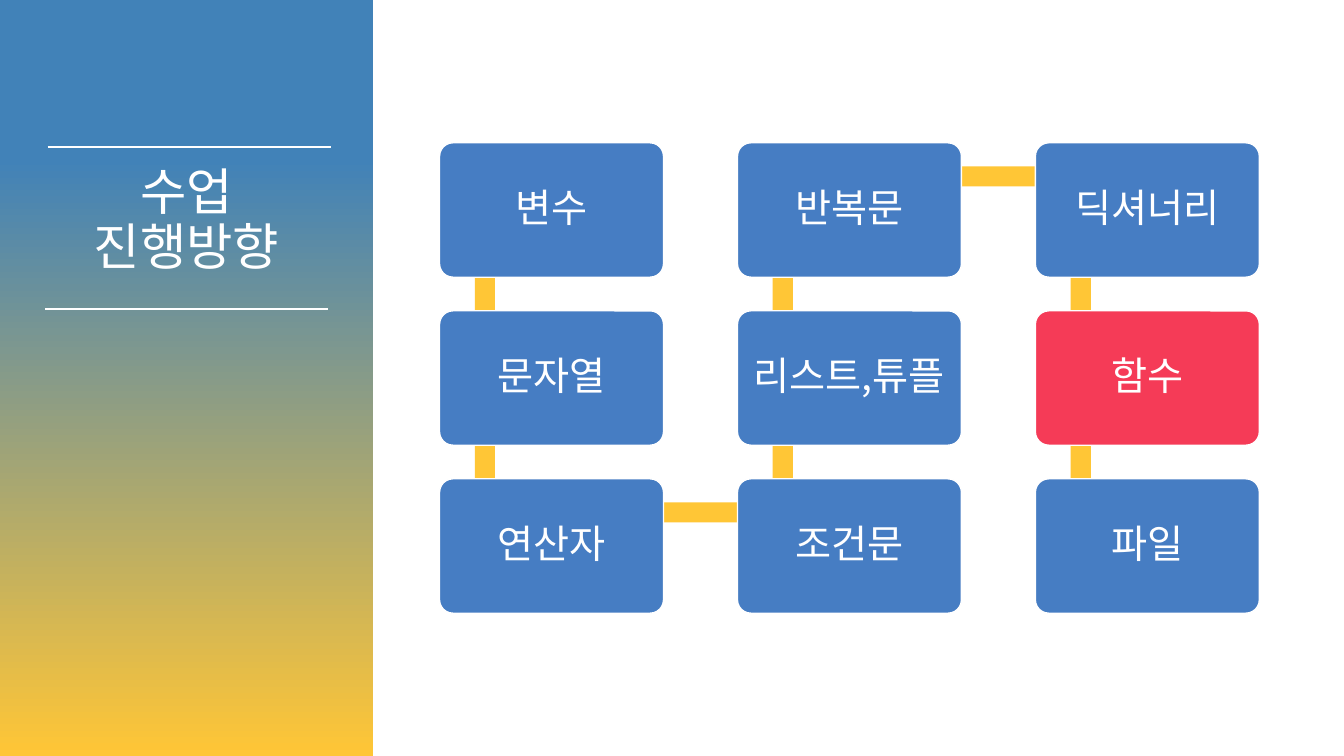
"""Build a slide showing the course topics as a snaking path of boxes."""
from dataclasses import dataclass

from lxml import etree
from pptx import Presentation
from pptx.dml.color import RGBColor
from pptx.enum.shapes import MSO_CONNECTOR, MSO_SHAPE
from pptx.enum.text import MSO_ANCHOR, PP_ALIGN
from pptx.oxml.ns import qn
from pptx.shapes.autoshape import Shape
from pptx.slide import Slide
from pptx.text.text import TextFrame
from pptx.util import Pt

RECTANGLE = MSO_SHAPE.RECTANGLE
ROUNDED = MSO_SHAPE.ROUNDED_RECTANGLE
STRAIGHT = MSO_CONNECTOR.STRAIGHT
MIDDLE = MSO_ANCHOR.MIDDLE
CENTER = PP_ALIGN.CENTER

COLORS = {"white": "FFFFFF", "panel": "4182B8", "gold": "FFC636",
          "topic": "467DC3", "current": "F53B57"}
FONT = "Noto Sans CJK KR"
GRID_LEFT, GRID_TOP = 314, 102
COLUMN_STEP, ROW_STEP = 212.8, 120
BOX_WIDTH, BOX_HEIGHT = 160, 96
LINK_X, LINK_Y, LINK_THICKNESS = 32.4, 24, 14.4
BOX_MARGIN = 8.64


@dataclass(frozen=True)
class Topic:
    name: str
    column: int
    row: int
    color: str = "topic"

    @property
    def left(self) -> float:
        return GRID_LEFT + self.column * COLUMN_STEP

    @property
    def top(self) -> float:
        return GRID_TOP + self.row * ROW_STEP


@dataclass(frozen=True)
class Rule:
    left: float
    top: float
    width: float = 202.3


TOPICS = [
    Topic("변수", 0, 0), Topic("문자열", 0, 1), Topic("연산자", 0, 2),
    Topic("조건문", 1, 2), Topic("리스트,튜플", 1, 1), Topic("반복문", 1, 0),
    Topic("딕셔너리", 2, 0), Topic("함수", 2, 1, "current"), Topic("파일", 2, 2),
]
RULES = [Rule(34, 105), Rule(32.2, 220.5)]


def rgb(name: str) -> RGBColor:
    return RGBColor.from_string(COLORS[name])


def add_block(page: Slide, kind: MSO_SHAPE, left: float, top: float,
              width: float, height: float, color: str) -> Shape:
    block = page.shapes.add_shape(kind, Pt(left), Pt(top), Pt(width), Pt(height))
    block.shadow.inherit = False
    block.fill.solid()
    block.fill.fore_color.rgb = rgb(color)
    block.line.fill.background()
    return block


def write_text(frame: TextFrame, text: str, size: float) -> None:
    frame.text = text
    frame.word_wrap = True
    for para in frame.paragraphs:
        para.alignment = CENTER
        para.line_spacing = 0.9
        for span in para.runs:
            span.font.size = Pt(size)
            span.font.name = FONT
            span.font.color.rgb = rgb("white")
            east_asian = etree.SubElement(span.font._element, qn("a:ea"))
            east_asian.set("typeface", FONT)


def add_panel(page: Slide) -> None:
    panel = add_block(page, RECTANGLE, 0, 0, 266.8, 540, "panel")
    panel.fill.gradient()
    panel.fill.gradient_angle = 270
    stops = panel.fill.gradient_stops
    for stop, position, color in zip(stops, (0.21, 1), ("panel", "gold")):
        stop.position = position
        stop.color.rgb = rgb(color)


def add_rule(page: Slide, rule: Rule) -> None:
    line = page.shapes.add_connector(STRAIGHT, Pt(rule.left), Pt(rule.top),
                                     Pt(rule.left + rule.width), Pt(rule.top))
    line.line.color.rgb = rgb("white")
    line.line.width = Pt(1.5)
    etree.SubElement(line._element.spPr, qn("a:effectLst"))


def add_title(page: Slide) -> None:
    box = page.shapes.add_textbox(Pt(0), Pt(116), Pt(266.4), Pt(94.3))
    write_text(box.text_frame, "수업\n진행방향", 36)


def add_link(page: Slide, start: Topic, end: Topic) -> None:
    width = abs(end.left - start.left) or LINK_THICKNESS
    height = abs(end.top - start.top) or LINK_THICKNESS
    center_x = (start.left + end.left) / 2 + LINK_X
    center_y = (start.top + end.top) / 2 + LINK_Y
    add_block(page, RECTANGLE, center_x - width / 2, center_y - height / 2,
              width, height, "gold")


def add_topic(page: Slide, topic: Topic) -> None:
    box = add_block(page, ROUNDED, topic.left, topic.top,
                    BOX_WIDTH, BOX_HEIGHT, topic.color)
    box.adjustments[0] = 0.1
    box.line.color.rgb = rgb("white")
    box.line.width = Pt(1)
    frame = box.text_frame
    frame.vertical_anchor = MIDDLE
    frame.margin_left = frame.margin_right = Pt(BOX_MARGIN)
    frame.margin_top = frame.margin_bottom = Pt(BOX_MARGIN)
    write_text(frame, topic.name, 28)


def main() -> None:
    deck = Presentation()
    deck.slide_width, deck.slide_height = Pt(960), Pt(540)
    page = deck.slides.add_slide(deck.slide_layouts[6])
    add_panel(page)
    for rule in RULES:
        add_rule(page, rule)
    add_title(page)
    for start, end in zip(TOPICS, TOPICS[1:]):
        add_link(page, start, end)
    for topic in TOPICS:
        add_topic(page, topic)
    deck.save("out.pptx")


if __name__ == "__main__":
    main()
